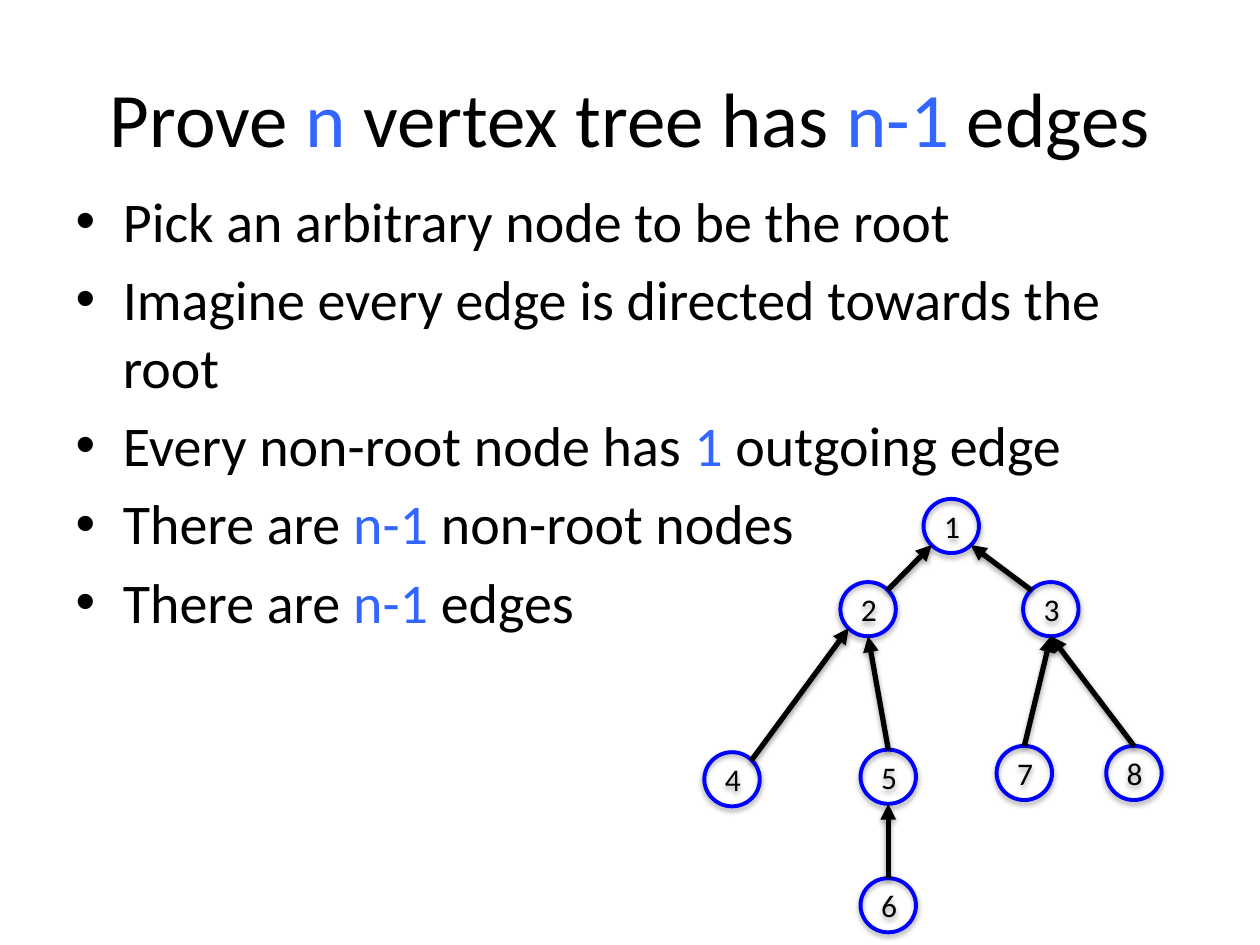
from lxml import etree
from pptx import Presentation
from pptx.dml.color import RGBColor
from pptx.enum.shapes import MSO_CONNECTOR, MSO_SHAPE
from pptx.enum.text import MSO_ANCHOR, PP_ALIGN
from pptx.oxml.ns import qn
from pptx.util import Inches, Pt

STRAIGHT = MSO_CONNECTOR.STRAIGHT
OVAL = MSO_SHAPE.OVAL
MIDDLE = MSO_ANCHOR.MIDDLE
CENTER = PP_ALIGN.CENTER

BLACK = RGBColor(0x00, 0x00, 0x00)
ACCENT = RGBColor(0x33, 0x66, 0xFF)
NODE_BLUE = RGBColor(0x00, 0x00, 0xFF)
FONT = "Calibri"


def add_spans(para, texts, size):
    """Add alternating black and accent-coloured runs."""
    for index, text in enumerate(texts):
        span = para.add_run()
        span.text = text
        span.font.color.rgb = ACCENT if index % 2 else BLACK
        for name, value in {"name": FONT, "size": Pt(size)}.items():
            setattr(span.font, name, value)


def place(box, left, top, width, height):
    values = {"left": left, "top": top, "width": width, "height": height}
    for name, value in values.items():
        setattr(box, name, Inches(value))


deck = Presentation()
deck.slide_width, deck.slide_height = Inches(10), Inches(7.5)
page = deck.slides.add_slide(deck.slide_layouts[1])

# Title
title = page.shapes.title
place(title, 0.5, 0.3, 9, 1.25)
add_spans(title.text_frame.paragraphs[0],
          ["Prove ", "n", " vertex tree has ", "n-1", " edges"], 44)

# Proof steps
steps = [
    ["Pick an arbitrary node to be the root"],
    ["Imagine every edge is directed towards the root"],
    ["Every non-root node has ", "1", " outgoing edge"],
    ["There are ", "n-1 ", "non-root nodes"],
    ["There are ", "n-1 ", "edges"],
]
body = page.placeholders[1]
place(body, 0.5, 1.43, 9, 4.95)
frame = body.text_frame
for index, texts in enumerate(steps):
    para = frame.add_paragraph() if index else frame.paragraphs[0]
    add_spans(para, texts, 32)

# Tree nodes: left and top of each circle
NODE_WIDTH, NODE_HEIGHT = 0.44, 0.43
nodes = {
    1: (7.33, 3.96), 2: (6.67, 4.62), 3: (8.12, 4.62), 4: (5.59, 5.97),
    5: (6.83, 5.95), 6: (6.83, 6.97), 7: (7.91, 5.92), 8: (8.78, 5.92),
}
for label, (left, top) in nodes.items():
    node = page.shapes.add_shape(OVAL, Inches(left), Inches(top),
                                 Inches(NODE_WIDTH), Inches(NODE_HEIGHT))
    node.fill.background()
    node.line.color.rgb = NODE_BLUE
    node.line.width = Pt(2.25)
    node.text_frame.vertical_anchor = MIDDLE
    para = node.text_frame.paragraphs[0]
    para.alignment = CENTER
    add_spans(para, [str(label)], 18)

# Points on a circle, as shares of its width and height
TOP, BOTTOM = (0.5, 0), (0.5, 1)
TOP_LEFT, TOP_RIGHT = (0.15, 0.15), (0.85, 0.15)
BOTTOM_LEFT, BOTTOM_RIGHT = (0.15, 0.85), (0.85, 0.85)

# Edges from parent to child, with the arrowhead at the parent
edges = [
    (1, BOTTOM_LEFT, 2, TOP_RIGHT),
    (1, BOTTOM_RIGHT, 3, TOP_LEFT),
    (2, BOTTOM_LEFT, 4, TOP_RIGHT),
    (2, BOTTOM, 5, TOP),
    (3, BOTTOM, 7, TOP),
    (3, BOTTOM, 8, TOP),
    (5, BOTTOM, 6, TOP),
]
for parent, parent_point, child, child_point in edges:
    ends = []
    for label, (across, down) in ((parent, parent_point), (child, child_point)):
        left, top = nodes[label]
        ends += [Inches(left + across * NODE_WIDTH),
                 Inches(top + down * NODE_HEIGHT)]
    edge = page.shapes.add_connector(STRAIGHT, *ends)
    edge.line.color.rgb = BLACK
    edge.line.width = Pt(3)
    etree.SubElement(edge.line._get_or_add_ln(), qn("a:headEnd"), type="triangle")

deck.save("out.pptx")
